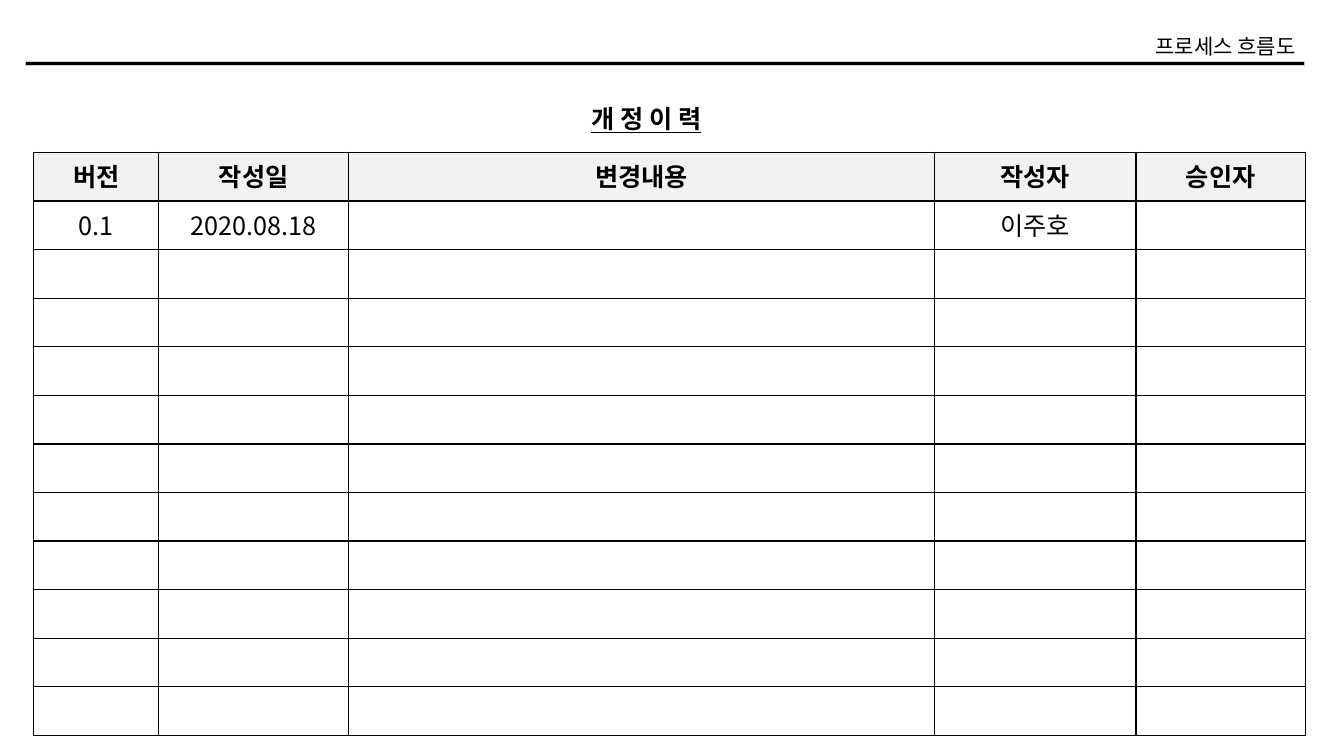
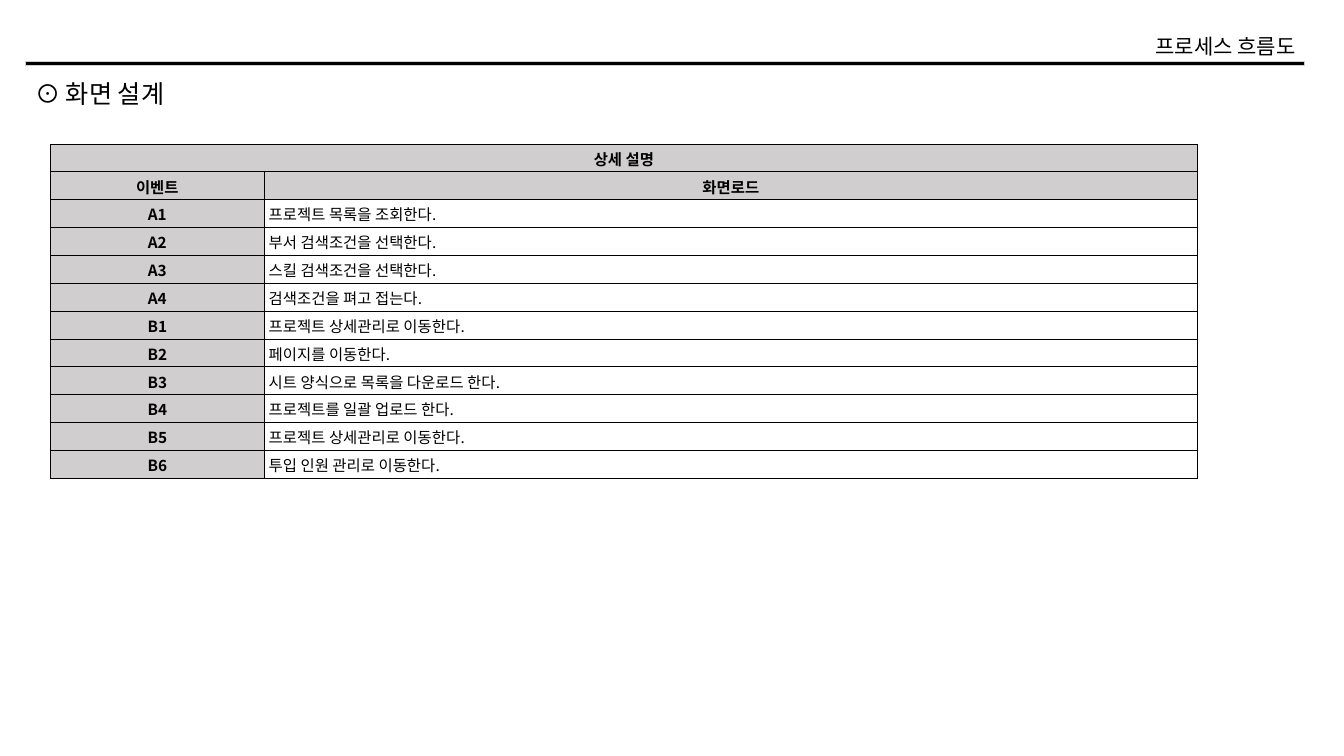
from dataclasses import dataclass
from lxml.etree import SubElement
from pptx import Presentation
from pptx.dml.color import RGBColor
from pptx.enum.shapes import MSO_SHAPE
from pptx.enum.text import MSO_ANCHOR, MSO_AUTO_SIZE, PP_ALIGN
from pptx.oxml.ns import qn
from pptx.util import Pt


@dataclass(frozen=True)
class Theme:
    font: str = "Noto Sans CJK KR"
    ink: RGBColor = RGBColor(0, 0, 0)
    white: RGBColor = RGBColor(0xFF, 0xFF, 0xFF)
    pale: RGBColor = RGBColor(0xF2, 0xF2, 0xF2)
    grey: RGBColor = RGBColor(0xD0, 0xCE, 0xCE)
    header_size: int = 15
    title_size: int = 18
    detail_size: int = 11


theme = Theme()


def write(frame, text, size, bold=False, align=PP_ALIGN.LEFT):
    """Fill a text frame with one styled paragraph and return its run."""
    paragraph = frame.paragraphs[0]
    paragraph.text = text
    paragraph.alignment = align
    run = paragraph.runs[0]
    run.font.name = theme.font
    run.font.size = Pt(size)
    run.font.bold = bold
    run.font.color.rgb = theme.ink
    SubElement(run.font._element, qn("a:ea"), typeface=theme.font)
    return run


def add_grid(slide, left, top, widths, row_height, row_count, border):
    """Add a table with ruled, unfilled cells."""
    grid = slide.shapes.add_table(
        row_count, len(widths), Pt(left), Pt(top), Pt(sum(widths)), Pt(row_height * row_count)
    ).table
    for column, width in zip(grid.columns, widths):
        column.width = Pt(width)
    for row in grid.rows:
        row.height = Pt(row_height)
    for cell in grid.iter_cells():
        properties = cell._tc.get_or_add_tcPr()
        for side in ("lnL", "lnR", "lnT", "lnB"):
            line = SubElement(properties, qn(f"a:{side}"), w=str(Pt(border)))
            solid = SubElement(line, qn("a:solidFill"))
            SubElement(solid, qn("a:srgbClr"), val=str(theme.ink))
        cell.fill.background()
    return grid


presentation = Presentation()
presentation.slide_width = Pt(960)
presentation.slide_height = Pt(540)
blank = presentation.slide_layouts[6]
history_slide = presentation.slides.add_slide(blank)
design_slide = presentation.slides.add_slide(blank)

# Shared header
for slide in (history_slide, design_slide):
    rule = slide.shapes.add_shape(MSO_SHAPE.RECTANGLE, Pt(18), Pt(44), Pt(914), Pt(2.9))
    rule.shadow.inherit = False
    rule.fill.solid()
    rule.fill.fore_color.rgb = theme.ink
    rule.line.color.rgb = theme.grey
    rule.line.width = Pt(0.3)
    header = slide.shapes.add_textbox(Pt(806.4), Pt(20.2), Pt(126), Pt(25.2)).text_frame
    header.word_wrap = False
    header.auto_size = MSO_AUTO_SIZE.SHAPE_TO_FIT_TEXT
    write(header, "프로세스 흐름도", theme.header_size, align=PP_ALIGN.RIGHT)

# Slide titles
for slide, text, left, top, width, emphasis in (
    (history_slide, "개 정 이 력", 415.4, 70.6, 120.2, True),
    (design_slide, "⊙ 화면 설계", 18, 52.6, 117.4, False),
):
    title = slide.shapes.add_textbox(Pt(left), Pt(top), Pt(width), Pt(28.8)).text_frame
    title.word_wrap = emphasis
    title.auto_size = MSO_AUTO_SIZE.SHAPE_TO_FIT_TEXT
    write(title, text, theme.title_size, emphasis).font.underline = emphasis

# Revision history
revisions = [
    ["버전", "작성일", "변경내용", "작성자", "승인자"],
    ["0.1", "2020.08.18", "", "이주호", ""],
]
history = add_grid(history_slide, 24, 108.9, [89.5, 135.5, 418.5, 144, 121], 34.7, 12, 1)
for row, revision in enumerate(revisions):
    for column, text in enumerate(revision):
        cell = history.cell(row, column)
        if row == 0:
            cell.fill.solid()
            cell.fill.fore_color.rgb = theme.pale
        if text:
            write(cell.text_frame, text, theme.title_size, row == 0, PP_ALIGN.CENTER)

# Screen events
events = [
    ("상세 설명", ""),
    ("이벤트", "화면로드"),
    ("A1", "프로젝트 목록을 조회한다."),
    ("A2", "부서 검색조건을 선택한다."),
    ("A3", "스킬 검색조건을 선택한다."),
    ("A4", "검색조건을 펴고 접는다."),
    ("B1", "프로젝트 상세관리로 이동한다."),
    ("B2", "페이지를 이동한다."),
    ("B3", "시트 양식으로 목록을 다운로드 한다."),
    ("B4", "프로젝트를 일괄 업로드 한다."),
    ("B5", "프로젝트 상세관리로 이동한다."),
    ("B6", "투입 인원 관리로 이동한다."),
]
details = add_grid(design_slide, 36, 102.8, [152.8, 666.6], 19.9, len(events), 0.5)
details.cell(0, 0).merge(details.cell(0, 1))
for row, event in enumerate(events):
    for column, text in enumerate(event):
        cell = details.cell(row, column)
        is_label = row < 2 or column == 0
        cell.fill.solid()
        cell.fill.fore_color.rgb = theme.grey if is_label else theme.white
        cell.vertical_anchor = MSO_ANCHOR.MIDDLE
        cell.margin_left = Pt(0.7 if is_label else 3.2)
        cell.margin_right = cell.margin_top = Pt(0.7)
        cell.margin_bottom = Pt(0)
        if text:
            align = PP_ALIGN.CENTER if is_label else PP_ALIGN.LEFT
            write(cell.text_frame, text, theme.detail_size, is_label, align)

presentation.save("out.pptx")
